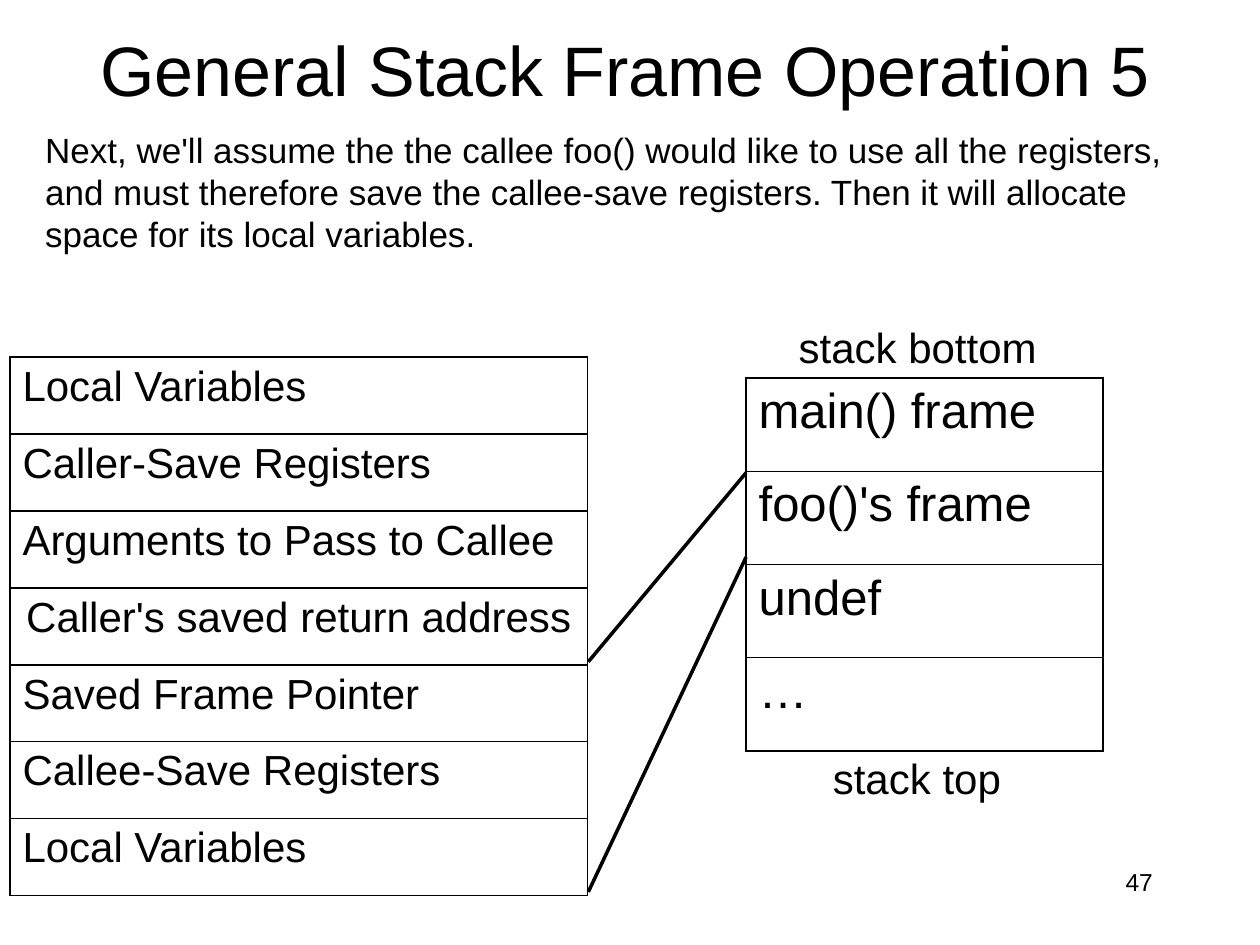
from lxml.etree import SubElement
from pptx import Presentation
from pptx.dml.color import RGBColor
from pptx.enum.shapes import MSO_CONNECTOR
from pptx.enum.text import MSO_ANCHOR, PP_ALIGN
from pptx.oxml import parse_xml
from pptx.oxml.ns import nsdecls, qn
from pptx.util import Cm, Pt

BLACK = "000000"


def format_text(text_frame, size, align=PP_ALIGN.LEFT):
    for para in text_frame.paragraphs:
        para.alignment = align
        for span in para.runs:
            span.font.name = "Arial"
            span.font.size = Pt(size)
            span.font.color.rgb = RGBColor.from_string(BLACK)


def add_border(cell, side, width):
    """Append one edge; call before the cell fill is set, in order L, R, T, B."""
    cell._tc.get_or_add_tcPr().append(parse_xml(
        f'<a:ln{side} {nsdecls("a")} w="{Pt(width)}"><a:solidFill>'
        f'<a:srgbClr val="{BLACK}"/></a:solidFill></a:ln{side}>'))


deck = Presentation()
deck.slide_width, deck.slide_height = Cm(25.4), Cm(19.05)
page = deck.slides.add_slide(deck.slide_layouts[5])

title = page.shapes.title
title.left, title.top, title.width, title.height = Cm(1.27), Cm(-0.2), Cm(22.66), Cm(3.18)
title.text_frame.text = "General Stack Frame Operation 5"
title.text_frame.vertical_anchor = MSO_ANCHOR.MIDDLE
format_text(title.text_frame, 40, PP_ALIGN.CENTER)

# Text, left, top, width, height, size, alignment, wrap
texts = [
    ("Next, we'll assume the the callee foo() would like to use all the registers, "
     "and must therefore save the callee-save registers. Then it will allocate "
     "space for its local variables.",
     0.66, 2.46, 23.8, 3.3, 20, PP_ALIGN.LEFT, True),
    ("stack bottom", 15.85, 6.35, 5.3, 1.27, 24, PP_ALIGN.LEFT, False),
    ("stack top", 16.54, 15.04, 3.89, 1.27, 24, PP_ALIGN.LEFT, False),
    ("47", 18.21, 17.35, 5.28, 1.27, 14, PP_ALIGN.RIGHT, True),
]
for text, left, top, width, height, size, align, wrap in texts:
    box = page.shapes.add_textbox(Cm(left), Cm(top), Cm(width), Cm(height))
    box.text_frame.text = text
    box.text_frame.word_wrap = wrap
    format_text(box.text_frame, size, align)

# Row texts, left, top, width, row height, size, inner line width
tables = [
    (["main() frame", "foo()'s frame", "undef", "…"],
     15.04, 7.62, 7.2, 1.88, 28, 0.45),
    (["Local Variables", "Caller-Save Registers", "Arguments to Pass to Callee",
      "Caller's saved return address", "Saved Frame Pointer",
      "Callee-Save Registers", "Local Variables"],
     0.2, 7.2, 11.64, 1.55, 24, 1.08),
]
for rows, left, top, width, row_height, size, inner in tables:
    table = page.shapes.add_table(len(rows), 1, Cm(left), Cm(top), Cm(width),
                                  Cm(row_height * len(rows))).table
    table.first_row = table.horz_banding = False
    for index, text in enumerate(rows):
        table.rows[index].height = Cm(row_height)
        cell = table.cell(index, 0)
        cell.text_frame.text = text
        centred = text.startswith("Caller's")
        format_text(cell.text_frame, size, PP_ALIGN.CENTER if centred else PP_ALIGN.LEFT)
        add_border(cell, "L", 1.08)
        add_border(cell, "R", 1.08)
        add_border(cell, "T", 1.08 if index == 0 else inner)
        add_border(cell, "B", 1.08 if index == len(rows) - 1 else inner)
        cell.fill.background()

# Lines that open foo()'s frame out into its parts
for start_y, end_y in [(13.34, 9.53), (17.98, 11.23)]:
    line = page.shapes.add_connector(MSO_CONNECTOR.STRAIGHT, Cm(11.86), Cm(start_y),
                                     Cm(15.04), Cm(end_y))
    line.line.color.rgb = RGBColor.from_string(BLACK)
    line.line.width = Pt(2)
    SubElement(line._element.spPr, qn("a:effectLst"))

deck.save("out.pptx")
